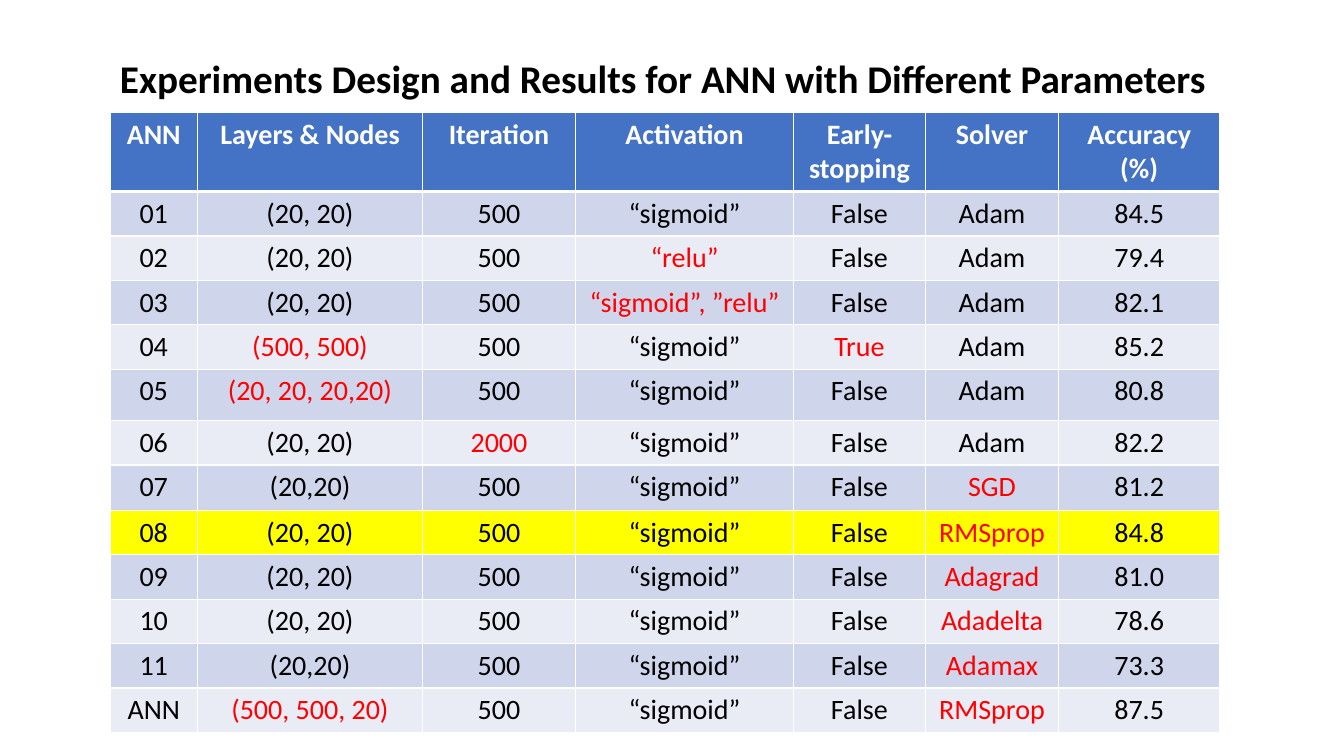
from pptx import Presentation
from pptx.dml.color import RGBColor
from pptx.enum.text import MSO_ANCHOR, PP_ALIGN
from pptx.oxml import parse_xml
from pptx.oxml.ns import nsdecls
from pptx.util import Pt

PX = 9144  # 100 px to the inch
FONT = "Calibri"
WHITE = RGBColor(0xFF, 0xFF, 0xFF)
BLACK = RGBColor(0x00, 0x00, 0x00)
RED = RGBColor(0xFF, 0x00, 0x00)
BLUE = RGBColor(0x44, 0x72, 0xC4)
YELLOW = RGBColor(0xFF, 0xFF, 0x00)
BANDS = [RGBColor(0xE9, 0xEB, 0xF5), RGBColor(0xCF, 0xD5, 0xEA)]

TITLE = "Experiments Design and Results for ANN with Different Parameters"
HEAD = ["ANN", "Layers & Nodes", "Iteration", "Activation",
        "Early-stopping", "Solver", "Accuracy\n(%)"]
RUNS = [
    ["01", "(20, 20)", "500", "“sigmoid”", "False", "Adam", "84.5"],
    ["02", "(20, 20)", "500", "“relu”", "False", "Adam", "79.4"],
    ["03", "(20, 20)", "500", "“sigmoid”, ”relu”", "False", "Adam", "82.1"],
    ["04", "(500, 500)", "500", "“sigmoid”", "True", "Adam", "85.2"],
    ["05", "(20, 20, 20,20)", "500", "“sigmoid”", "False", "Adam", "80.8"],
    ["06", "(20, 20)", "2000", "“sigmoid”", "False", "Adam", "82.2"],
    ["07", "(20,20)", "500", "“sigmoid”", "False", "SGD", "81.2"],
    ["08", "(20, 20)", "500", "“sigmoid”", "False", "RMSprop", "84.8"],
    ["09", "(20, 20)", "500", "“sigmoid”", "False", "Adagrad", "81.0"],
    ["10", "(20, 20)", "500", "“sigmoid”", "False", "Adadelta", "78.6"],
    ["11", "(20,20)", "500", "“sigmoid”", "False", "Adamax", "73.3"],
    ["ANN", "(500, 500, 20)", "500", "“sigmoid”", "False", "RMSprop", "87.5"],
]
BEST = 8  # highlighted run
WIDTHS = [87, 223, 152, 216, 131, 132, 160]
HEIGHTS = [77, 44, 44, 44, 44, 51, 44, 45, 44, 44, 44, 44, 44]


def write(frame, text, size=20, color=BLACK, bold=False,
          align=PP_ALIGN.CENTER, spacing=None):
    frame.text = text
    for para in frame.paragraphs:
        para.alignment = align
        para.line_spacing = spacing
        for run in para.runs:
            font = run.font
            font.name, font.size, font.bold = FONT, Pt(size), bold
            font.color.rgb = color


def add_title(slide, text):
    title = slide.shapes.title
    title.left, title.top = 109 * PX, 48 * PX
    title.width, title.height = 1127 * PX, 64 * PX
    frame = title.text_frame
    frame.word_wrap = True
    frame.vertical_anchor = MSO_ANCHOR.MIDDLE
    frame.margin_left = frame.margin_right = 10 * PX
    frame.margin_top = frame.margin_bottom = 10 * PX
    write(frame, text, size=28, bold=True, align=PP_ALIGN.LEFT, spacing=0.9)


def set_edges(cell, top, bottom):
    props = cell._tc.get_or_add_tcPr()
    for side, width in (("L", 1), ("R", 1), ("T", top), ("B", bottom)):
        props.append(parse_xml(
            f'<a:ln{side} {nsdecls("a")} w="{Pt(width)}"><a:solidFill>'
            f'<a:srgbClr val="{WHITE}"/></a:solidFill></a:ln{side}>'))


def is_changed(row, col):
    # Parameters that differ from the first run are red
    if not 0 < col < len(HEAD) - 1:
        return False
    base, value = RUNS[0][col], RUNS[row - 1][col]
    return value.replace(" ", "") != base.replace(" ", "")


def add_grid(slide):
    shape = slide.shapes.add_table(
        len(HEIGHTS), len(WIDTHS), 109 * PX, 112 * PX,
        sum(WIDTHS) * PX, sum(HEIGHTS) * PX)
    table = shape.table
    for col, width in zip(table.columns, WIDTHS):
        col.width = width * PX
    for row, height in zip(table.rows, HEIGHTS):
        row.height = height * PX

    for r, values in enumerate([HEAD] + RUNS):
        for c, value in enumerate(values):
            cell = table.cell(r, c)
            # Thick rule under the header
            set_edges(cell, 3 if r == 1 else 1, 3 if r == 0 else 1)
            cell.fill.solid()
            if r == 0:
                fill, color = BLUE, WHITE
            else:
                fill = YELLOW if r == BEST else BANDS[r % 2]
                color = RED if is_changed(r, c) else BLACK
            cell.fill.fore_color.rgb = fill
            write(cell.text_frame, value, color=color, bold=r == 0)


def main():
    deck = Presentation()
    deck.slide_width, deck.slide_height = 1333 * PX, 750 * PX
    slide = deck.slides.add_slide(deck.slide_layouts[5])
    add_grid(slide)
    add_title(slide, TITLE)
    deck.save("out.pptx")


if __name__ == "__main__":
    main()
